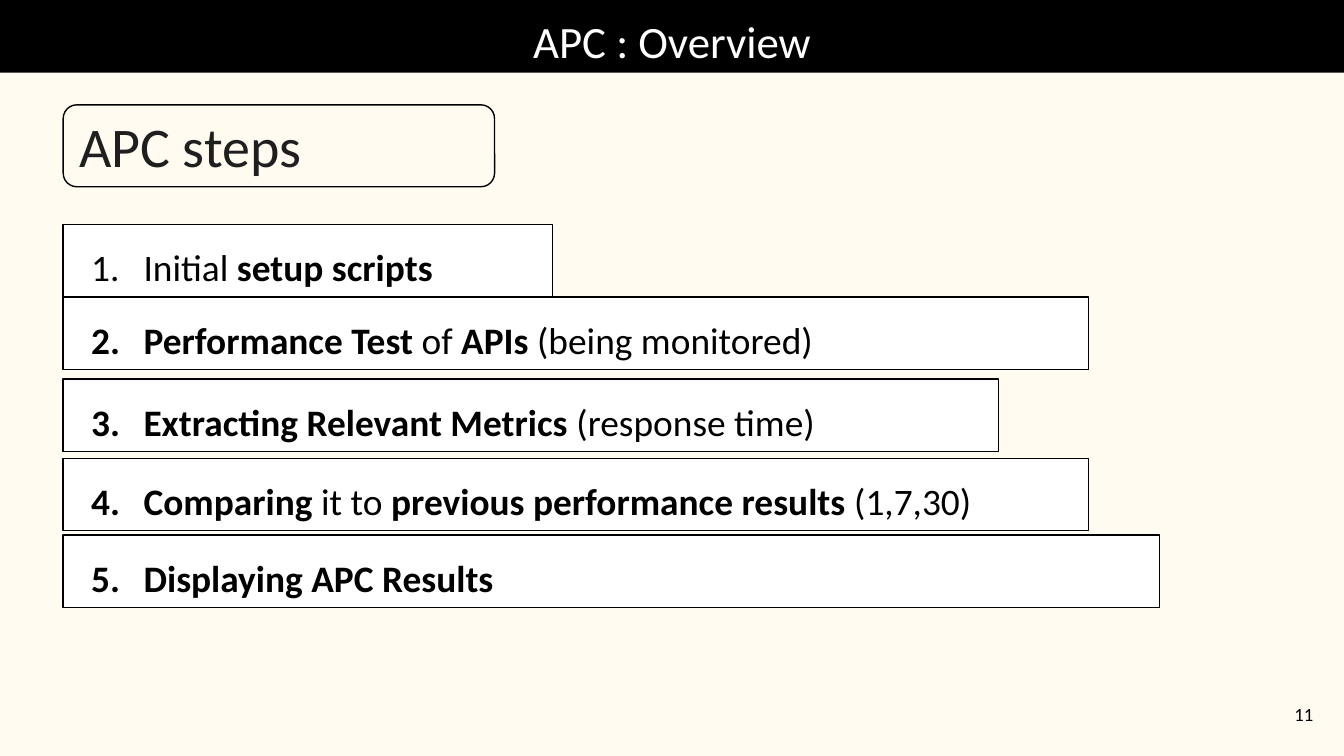
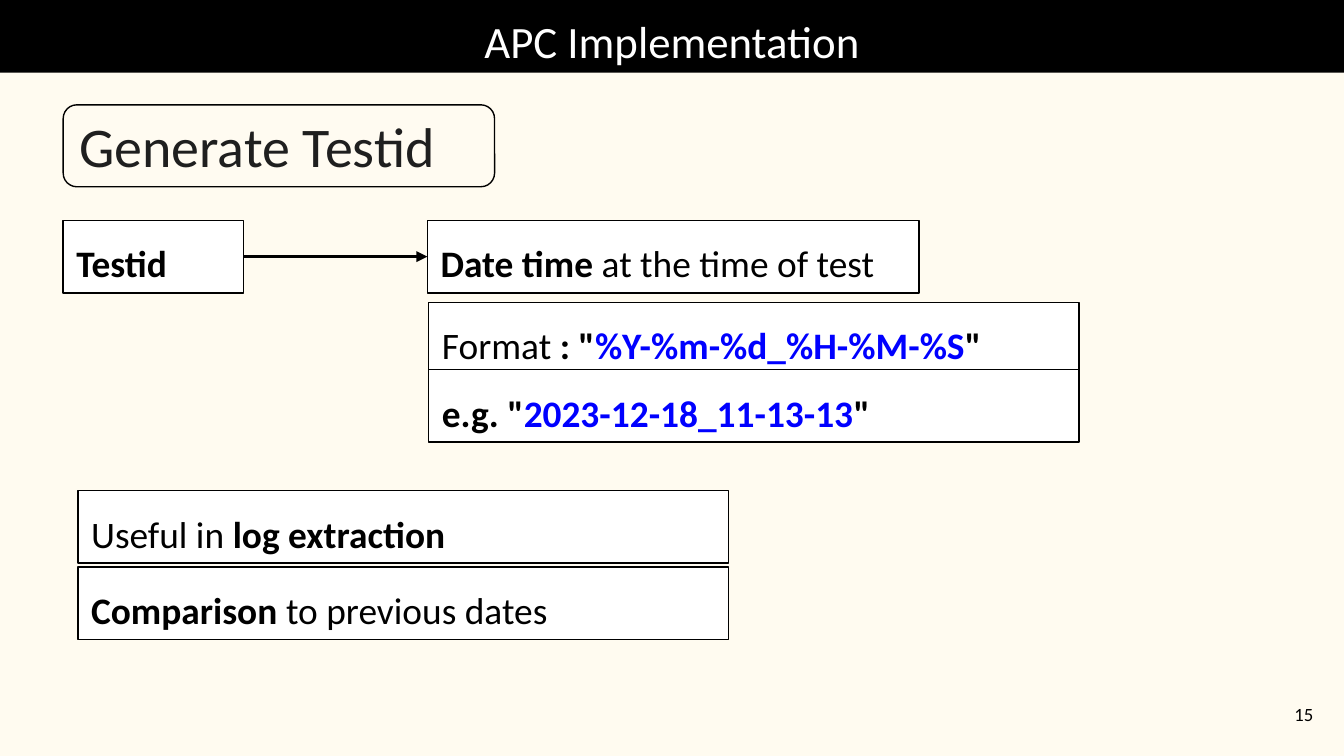
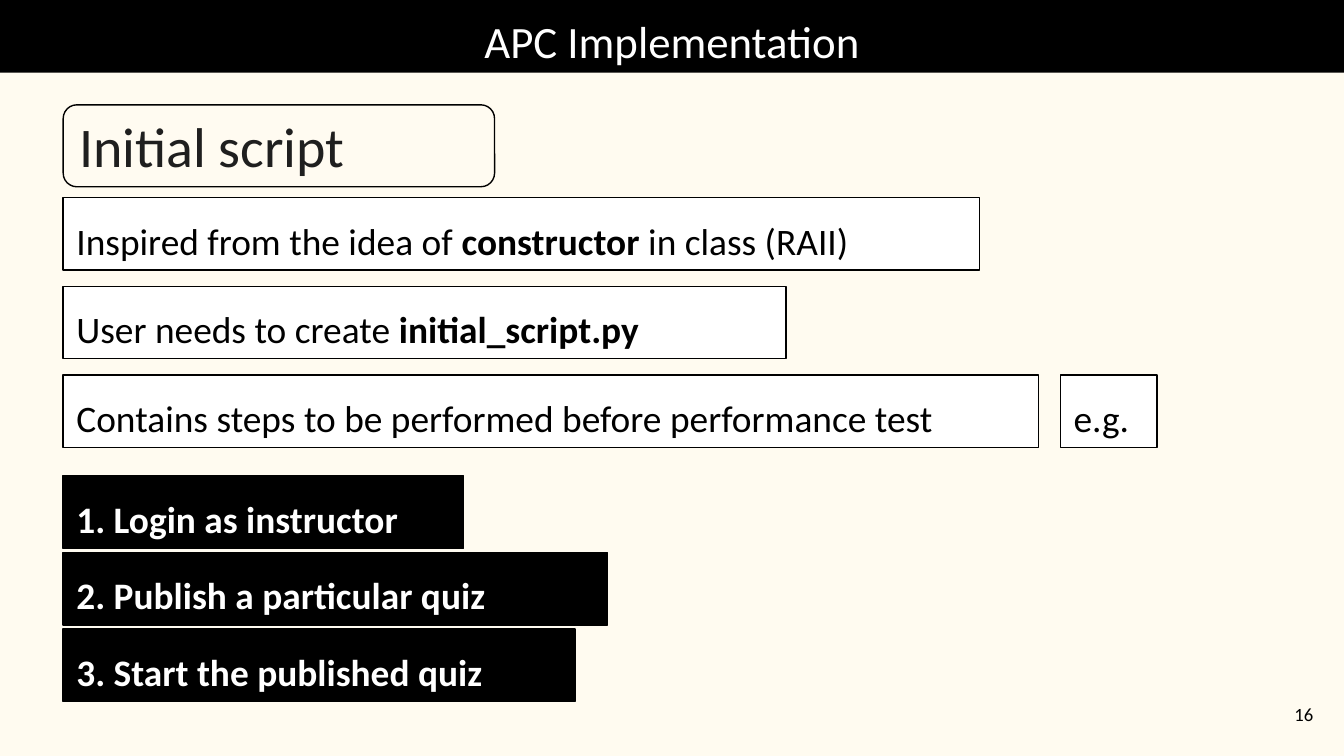
import dataclasses

import pptx
import pptx.util
import pptx.dml.color
import pptx.enum.shapes
import pptx.enum.text
import pptx.oxml
import pptx.oxml.ns

Inches = pptx.util.Inches
Pt = pptx.util.Pt
Color = pptx.dml.color.RGBColor.from_string
Shape = pptx.enum.shapes.MSO_SHAPE
Align = pptx.enum.text.PP_ALIGN
Anchor = pptx.enum.text.MSO_ANCHOR
Fit = pptx.enum.text.MSO_AUTO_SIZE


@dataclasses.dataclass(frozen=True)
class Theme:
    font: str = "Calibri"
    paper: str = "FFFBF0"
    black: str = "000000"
    white: str = "FFFFFF"
    blue: str = "0000FF"
    title: int = 24
    head: int = 30
    body: int = 20
    foot: int = 10
    pad: float = 0.1
    row: float = 0.54
    left: float = 0.47


THEME = Theme()


# Shared helpers
def add_xml(parent, tag, inner="", **attrs):
    space = pptx.oxml.ns.nsdecls("a")
    pairs = " ".join(f'{key}="{value}"' for key, value in attrs.items())
    node = pptx.oxml.parse_xml(f"<a:{tag} {space} {pairs}>{inner}</a:{tag}>")
    parent.append(node)


def paint(shape, fill, line=None):
    shape.shadow.inherit = False
    shape.fill.solid()
    shape.fill.fore_color.rgb = Color(fill)
    if line:
        shape.line.color.rgb = Color(line)
        shape.line.width = Pt(0.75)


def style(run, size, color, bold=False):
    run.font.name = THEME.font
    run.font.size = Pt(size)
    run.font.bold = bold
    run.font.color.rgb = Color(color)


def set_frame(shape, anchor=Anchor.TOP, fit=Fit.NONE):
    frame = shape.text_frame
    frame.word_wrap = True
    frame.auto_size = fit
    frame.vertical_anchor = anchor
    frame.margin_left = frame.margin_right = Inches(THEME.pad)
    frame.margin_top = frame.margin_bottom = Inches(THEME.pad)
    return frame


def set_line(shape, text, size, color, align, **options):
    frame = set_frame(shape, **options)
    frame.text = text
    para = frame.paragraphs[0]
    para.alignment = align
    style(para.runs[0], size, color)


def add_label(slide, box, text, size, align, **options):
    label = slide.shapes.add_textbox(*map(Inches, box))
    set_line(label, text, size, THEME.black, align, **options)


def add_row(slide, left, top, width, parts, fill=THEME.white, num=None):
    """Parts are (text, mark) pairs; mark is "" plain, "b" bold or "v" blue bold."""
    box = map(Inches, (left, top, width, THEME.row))
    row = slide.shapes.add_shape(Shape.RECTANGLE, *box)
    paint(row, fill, THEME.black)
    para = set_frame(row, fit=Fit.SHAPE_TO_FIT_TEXT).paragraphs[0]
    para.alignment = Align.LEFT
    para.line_spacing = 1.15
    ink = THEME.white if fill == THEME.black else THEME.black
    for text, mark in parts:
        run = para.add_run()
        run.text = text
        style(run, THEME.body, THEME.blue if mark == "v" else ink, mark != "")
    if num:
        props = para._p.get_or_add_pPr()
        props.set("marL", str(Inches(0.5)))
        props.set("indent", str(Inches(-0.39)))
        add_xml(props, "buClr", f'<a:srgbClr val="{ink}"/>')
        add_xml(props, "buAutoNum", type="arabicPeriod", startAt=num)
    else:
        para.space_after = Pt(16)
    return row


def add_arrow(slide, start, end):
    kind = pptx.enum.shapes.MSO_CONNECTOR.STRAIGHT
    arrow = slide.shapes.add_connector(kind, 0, 0, 0, 0)
    arrow.begin_connect(start, 3)
    arrow.end_connect(end, 1)
    arrow.line.color.rgb = Color(THEME.black)
    arrow.line.width = Pt(1.5)
    props = arrow._element.spPr
    add_xml(props.find(pptx.oxml.ns.qn("a:ln")), "tailEnd", type="triangle")
    add_xml(props, "effectLst")


# Title band, page number and framed heading
def add_page(deck, title, head, page):
    slide = deck.slides.add_slide(deck.slide_layouts[5])
    band = slide.shapes.title
    band.left, band.top = 0, 0
    band.width, band.height = deck.slide_width, Inches(THEME.row)
    paint(band, THEME.black)
    set_line(band, title, THEME.title, THEME.white, Align.CENTER)
    add_label(slide, (9.27, 5.1, 0.6, 0.43), page, THEME.foot, Align.RIGHT,
              anchor=Anchor.MIDDLE)
    add_head(slide, THEME.left, 0.78, head)
    return slide


def add_head(slide, left, top, text):
    add_label(slide, (left + 0.02, top - 0.05, 4.29, 0.71), text, THEME.head,
              Align.LEFT, fit=Fit.SHAPE_TO_FIT_TEXT)
    box = map(Inches, (left, top, 3.21, 0.61))
    frame = slide.shapes.add_shape(Shape.ROUNDED_RECTANGLE, *box)
    paint(frame, THEME.white, THEME.black)
    tint = frame._element.spPr.find(".//" + pptx.oxml.ns.qn("a:srgbClr"))
    add_xml(tint, "alpha", val=12000)


# Numbered steps
def add_steps(slide, left, top):
    steps = [
        (0, 3.64, [("Initial ", ""), ("setup scripts", "b")]),
        (0.54, 7.63, [("Performance Test ", "b"), ("of", ""), (" APIs ", "b"),
                      ("(being monitored)", "")]),
        (1.15, 6.96, [("Extracting Relevant Metrics ", "b"),
                      ("(response time)", "")]),
        (1.74, 7.63, [("Comparing ", "b"), ("it to", ""),
                      (" previous performance results ", "b"),
                      ("(1,7,30)", "")]),
        (2.31, 8.16, [("Displaying APC Results", "b")]),
    ]
    for num, (drop, width, parts) in enumerate(steps, 1):
        add_row(slide, left, top + drop, width, parts, num=num)


# Test id, its meaning and its format
def add_testid(slide, left, top):
    name = add_row(slide, left, top, 1.34, [("Testid", "b")])
    date = add_row(slide, left + 2.71, top, 3.66,
                   [("Date time ", "b"), ("at the time of test", "")])
    add_arrow(slide, name, date)
    forms = [
        [("Format", ""), (' : "', "b"), ("%Y-%m-%d_%H-%M-%S", "v"), ('"', "b")],
        [('e.g. "', "b"), ("2023-12-18_11-13-13", "v"), ('"', "b")],
    ]
    for i, parts in enumerate(forms):
        add_row(slide, left + 2.72, top + 0.61 + i * 0.5, 4.84, parts)


def add_uses(slide, left, top):
    uses = [
        [("Useful in ", ""), ("log extraction", "b")],
        [("Comparison ", "b"), ("to previous dates", "")],
    ]
    for i, parts in enumerate(uses):
        add_row(slide, left, top + i * 0.57, 4.84, parts)


# Facts about the script, then its sample steps
def add_facts(slide, left, top):
    facts = [
        (6.82, [("Inspired from the idea of ", ""), ("constructor", "b"),
                (" in class (RAII)", "")]),
        (5.38, [("User needs to create ", ""), ("initial_script.py", "b")]),
        (7.26, [("Contains steps to be performed before performance test", "")]),
    ]
    for i, (width, parts) in enumerate(facts):
        add_row(slide, left, top + i * 0.66, width, parts)
    add_row(slide, left + 7.42, top + 1.32, 0.72, [("e.g.", "")])


def add_samples(slide, left, top):
    samples = [
        (2.98, "1. Login as instructor"),
        (4.05, "2. Publish a particular quiz"),
        (3.81, "3. Start the published quiz"),
    ]
    for i, (width, text) in enumerate(samples):
        add_row(slide, left, top + i * 0.57, width, [(text, "b")], THEME.black)


def main():
    deck = pptx.Presentation()
    deck.slide_width = Inches(10)
    deck.slide_height = Inches(10 * 9 / 16)
    back = deck.slide_master.background.fill
    back.solid()
    back.fore_color.rgb = Color(THEME.paper)

    slide = add_page(deck, "APC : Overview", "APC steps", "11")
    add_steps(slide, THEME.left, 1.67)

    slide = add_page(deck, "APC Implementation", "Generate Testid", "15")
    add_testid(slide, THEME.left, 1.64)
    add_uses(slide, 0.58, 3.65)

    slide = add_page(deck, "APC Implementation", "Initial script", "16")
    add_facts(slide, THEME.left, 1.47)
    add_samples(slide, THEME.left, 3.54)

    deck.save("out.pptx")


if __name__ == "__main__":
    main()
